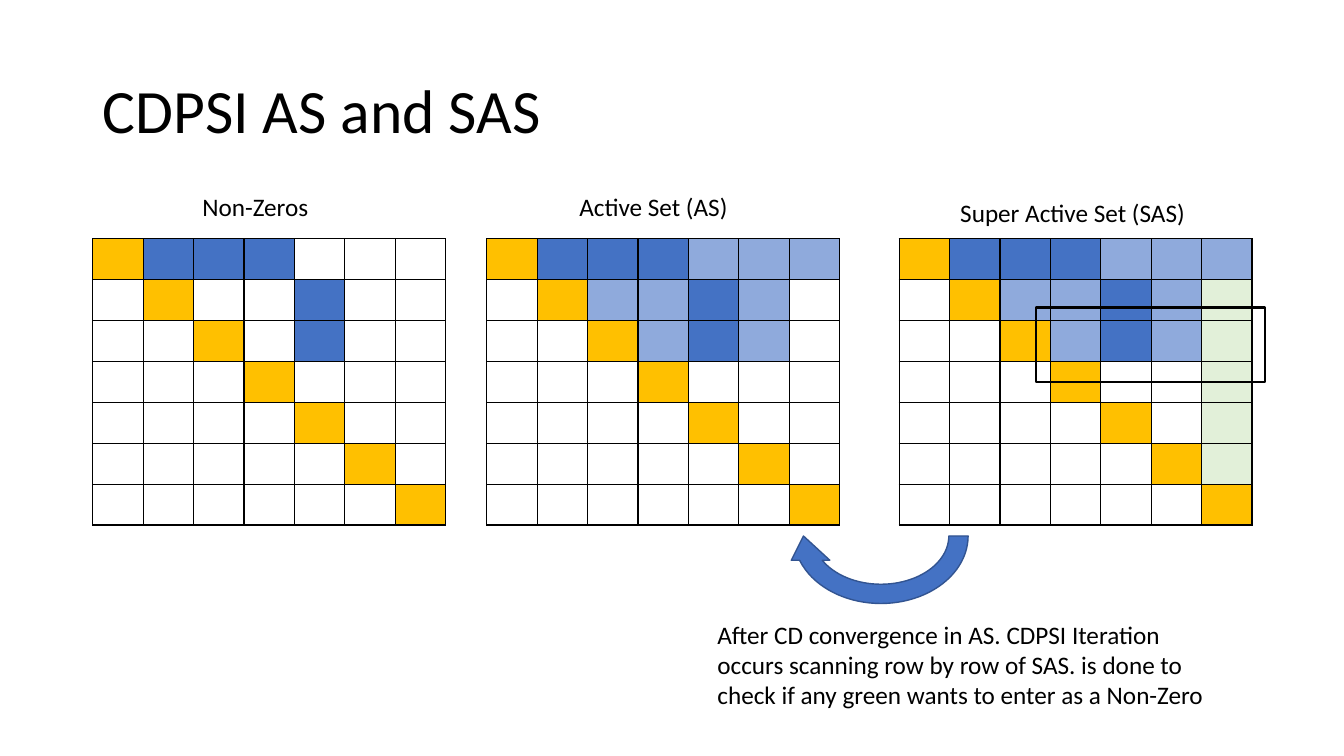
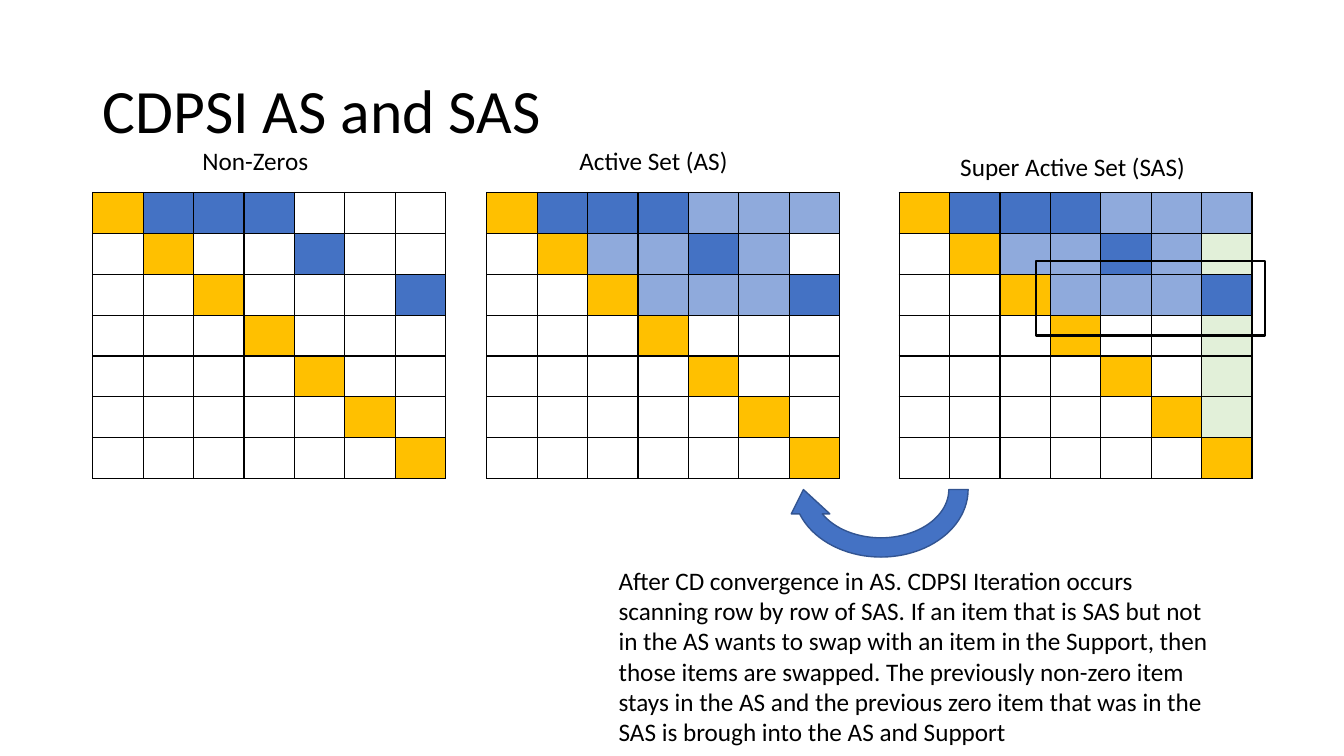
"""Build two slides comparing non-zero, active set and super active set matrices."""
from lxml import etree
from pptx import Presentation
from pptx import util as u
from pptx.dml.color import RGBColor
from pptx.enum import shapes, text
from pptx.oxml import ns

COLORS = {"ink": "000000", "diagonal": "FFC000", "nonzero": "4472C4", "active": "8FAADC",
          "super": "E2F0D9", "empty": "FFFFFF", "outline": "325491"}
FONT = "Calibri"
SIZE, COLUMN, ROW = 7, 1.27, 1.03
KINDS = {"D": "diagonal", "N": "nonzero", "A": "active", "S": "super"}

MATRICES = [
    {"left": 2.34, "shows": "DN", "label": "Non-Zeros", "label_box": (4.85, -1.32, 3.84)},
    {"left": 12.27, "shows": "DNA", "label": "Active Set (AS)", "label_box": (14.35, -1.32, 5.16)},
    {"left": 22.66, "shows": "DNAS", "label": "Super Active Set (SAS)", "label_box": (23.95, -1.17, 6.3)},
]
LOWER_ROWS = ["...D..S", "....D.S", ".....DS", "......D"]
STEPS = [
    {"top": 6.02,
     "pattern": ["DNNNAAA", ".DAANAS", "..DANAS"] + LOWER_ROWS,
     "remark": "After CD convergence in AS. CDPSI Iteration occurs scanning row by row of SAS. "
               "is done to check if any green wants to enter as a Non-Zero",
     "remark_box": (17.83, 15.47, 12.78, 2.57)},
    {"top": 4.85,
     "pattern": ["DNNNAAA", ".DAANAS", "..DAAAN"] + LOWER_ROWS,
     "remark": "After CD convergence in AS. CDPSI Iteration occurs scanning row by row of SAS. "
               "If an item that is SAS but not in the AS wants to swap with an item in the Support, "
               "then those items are swapped. The previously non-zero item stays in the AS and the "
               "previous zero item that was in the SAS is brough into the AS and Support",
     "remark_box": (15.34, 14.12, 15.62, 4.88)},
]


def add_text(slide, words, box, size=18, anchor=text.MSO_ANCHOR.TOP, spacing=1.0):
    frame = slide.shapes.add_textbox(*map(u.Cm, box)).text_frame
    frame.word_wrap = True
    frame.vertical_anchor = anchor
    paragraph = frame.paragraphs[0]
    paragraph.line_spacing = spacing
    run = paragraph.add_run()
    run.text = words
    run.font.name = FONT
    run.font.size = u.Pt(size)
    run.font.color.rgb = RGBColor.from_string(COLORS["ink"])


def style_cell(cell, color):
    cell.margin_top = cell.margin_bottom = 0
    cell.fill.solid()
    cell.fill.fore_color.rgb = RGBColor.from_string(COLORS[color])
    properties = cell._tc.get_or_add_tcPr()
    for position, side in enumerate(("lnL", "lnR", "lnT", "lnB")):
        border = etree.Element(ns.qn(f"a:{side}"), w=str(u.Pt(1)))
        ink = etree.SubElement(border, ns.qn("a:solidFill"))
        etree.SubElement(ink, ns.qn("a:srgbClr"), val=COLORS["ink"])
        properties.insert(position, border)


deck = Presentation()
deck.slide_width, deck.slide_height = u.Cm(33.87), u.Cm(19.05)

for step in STEPS:
    slide = deck.slides.add_slide(deck.slide_layouts[6])
    top = step["top"]
    add_text(slide, "CDPSI AS and SAS", (2.34, 1.01, 29.21, 3.68), 44, text.MSO_ANCHOR.MIDDLE, 0.9)

    for matrix in MATRICES:
        grid = slide.shapes.add_table(SIZE, SIZE, u.Cm(matrix["left"]), u.Cm(top),
                                      u.Cm(SIZE * COLUMN), u.Cm(SIZE * ROW)).table
        grid.first_row = grid.horz_banding = False
        for column in grid.columns:
            column.width = u.Cm(COLUMN)
        for row, marks in zip(grid.rows, step["pattern"]):
            row.height = u.Cm(ROW)
            for cell, mark in zip(row.cells, marks):
                style_cell(cell, KINDS[mark] if mark in matrix["shows"] else "empty")

        left, offset, width = matrix["label_box"]
        add_text(slide, matrix["label"], (left, top + offset, width, 1.03))

    swap_arrow = slide.shapes.add_shape(shapes.MSO_SHAPE.CIRCULAR_ARROW, u.Cm(19.76),
                                        u.Cm(top + 5.54), u.Cm(4.88), u.Cm(3.89))
    swap_arrow.rotation = 180
    swap_arrow.shadow.inherit = False
    swap_arrow.fill.solid()
    swap_arrow.fill.fore_color.rgb = RGBColor.from_string(COLORS["nonzero"])
    swap_arrow.line.color.rgb = RGBColor.from_string(COLORS["outline"])
    swap_arrow.line.width = u.Pt(1)

    add_text(slide, step["remark"], step["remark_box"])

    scanned_row = slide.shapes.add_shape(shapes.MSO_SHAPE.RECTANGLE, u.Cm(26.11),
                                         u.Cm(top + 1.73), u.Cm(5.77), u.Cm(1.88))
    scanned_row.shadow.inherit = False
    scanned_row.fill.background()
    scanned_row.line.color.rgb = RGBColor.from_string(COLORS["ink"])
    scanned_row.line.width = u.Pt(2)

deck.save("out.pptx")
